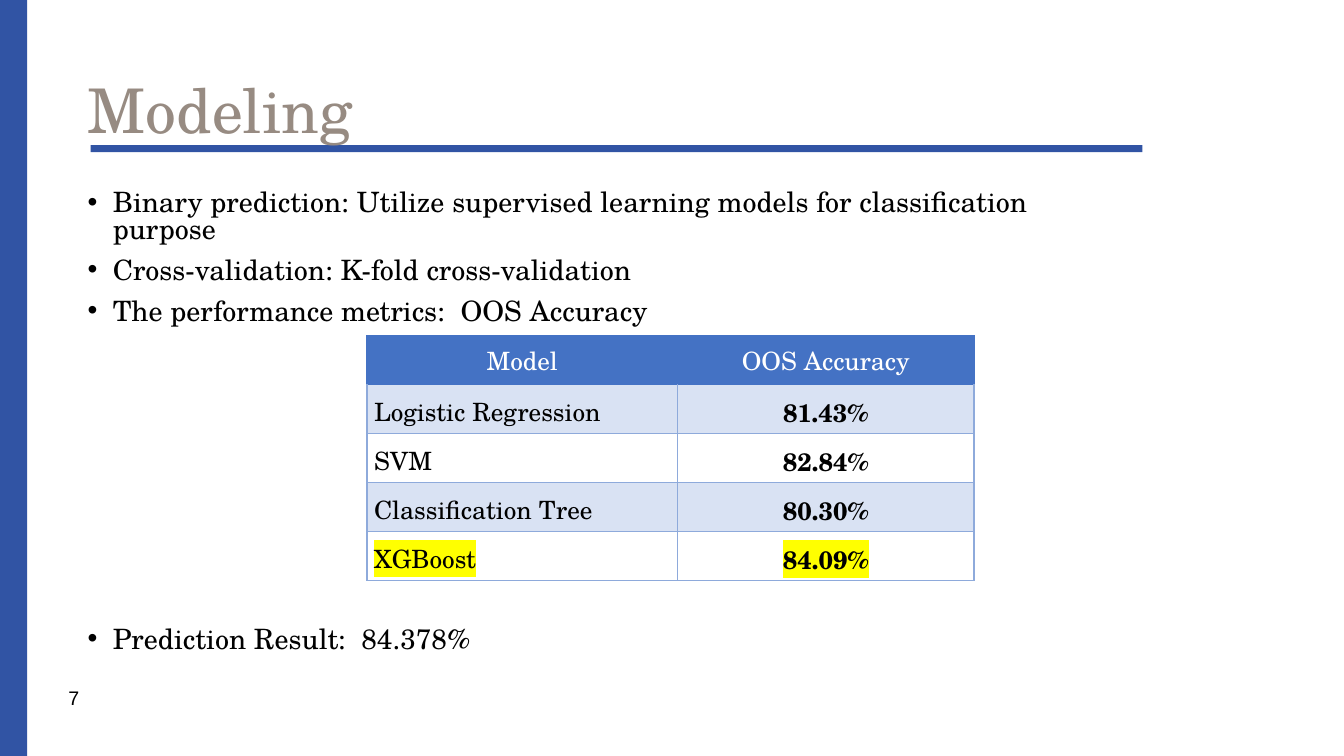
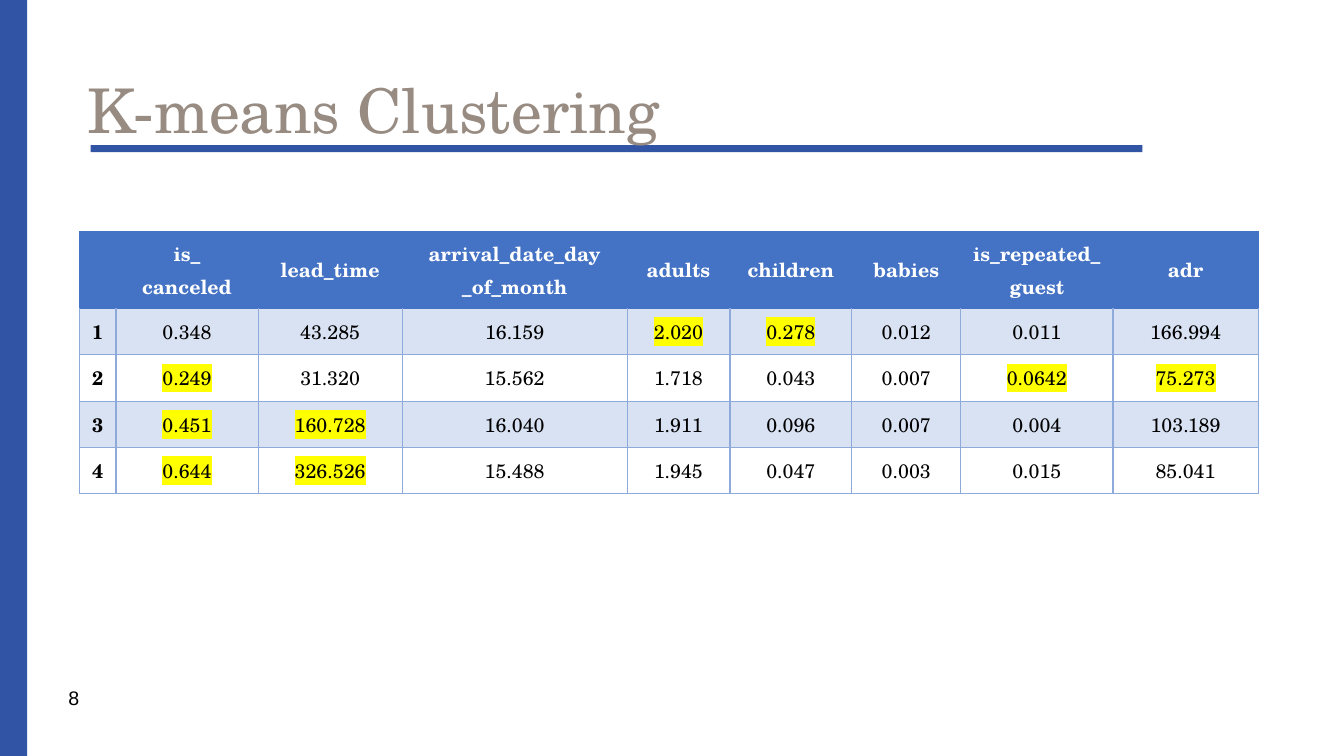
from lxml import etree
from pptx import Presentation
from pptx import util as u
from pptx.dml.color import RGBColor
from pptx.enum import shapes, text
from pptx.oxml import ns

# Shared look
BLUE = RGBColor(0x31, 0x54, 0xA4)
HEADER_BLUE = RGBColor(0x44, 0x72, 0xC4)
BAND_BLUE = RGBColor(0xD9, 0xE2, 0xF3)
GRID_BLUE = RGBColor(0x8E, 0xAA, 0xDB)
TAUPE = RGBColor(0x97, 0x8B, 0x82)
YELLOW = RGBColor(0xFF, 0xFF, 0x00)
WHITE = RGBColor(0xFF, 0xFF, 0xFF)
BLACK = RGBColor(0, 0, 0)
SERIF, SANS = "TeX Gyre Schola", "Arial"
LEFT, CENTER = text.PP_ALIGN.LEFT, text.PP_ALIGN.CENTER

WIDTH, HEIGHT = 13.33, 7.5
TITLE_BOX = (0.77, 0.4, 11.5, 1.45)
RULE_BOX = (0.9, 1.44, 10.43, 0.07)
BAND_BOX = (0, 0, 0.27, HEIGHT)
NUMBER_BOX = (0.58, 6.76, 0.48, 0.4)


def inches(box):
    return [u.Inches(length) for length in box]


def add_child(parent, tag, **attributes):
    child = etree.SubElement(parent, ns.qn(tag))
    for name, value in attributes.items():
        child.set(name, str(value))
    return child


def write(frame, lines, size=18, color=BLACK, font=SERIF, bold=False, align=LEFT,
          spacing=None, before=0, bullet=False, highlight=None):
    """Fill a text frame with one paragraph per line."""
    frame.word_wrap = True
    for index, line in enumerate(lines):
        paragraph = frame.add_paragraph() if index else frame.paragraphs[0]
        paragraph.alignment = align
        paragraph.space_before = u.Pt(before if index else 0)
        if spacing:
            paragraph.line_spacing = spacing
        if bullet:
            properties = paragraph._p.get_or_add_pPr()
            properties.set("marL", str(u.Inches(0.25)))
            properties.set("indent", str(-u.Inches(0.25)))
            add_child(properties, "a:buFont", typeface=SANS)
            add_child(properties, "a:buChar", char="•")
        run = paragraph.add_run()
        run.text = line
        run.font.name, run.font.size, run.font.bold = font, u.Pt(size), bold
        run.font.color.rgb = color
        if highlight:
            properties = run.font._element
            mark = add_child(properties, "a:highlight")
            add_child(mark, "a:srgbClr", val=highlight)
            properties.find(ns.qn("a:solidFill")).addnext(mark)


def add_bar(slide, box):
    bar = slide.shapes.add_shape(shapes.MSO_SHAPE.RECTANGLE, *inches(box))
    bar.shadow.inherit = False
    bar.fill.solid()
    bar.fill.fore_color.rgb = BLUE
    bar.line.fill.background()


def add_text(slide, box, lines, **style):
    write(slide.shapes.add_textbox(*inches(box)).text_frame, lines, **style)


def add_slide(presentation, title, number):
    """Title-only slide with side band, title rule and page number."""
    slide = presentation.slides.add_slide(presentation.slide_layouts[5])
    add_bar(slide, RULE_BOX)
    add_bar(slide, BAND_BOX)
    add_text(slide, NUMBER_BOX, [str(number)], size=14, font=SANS)
    heading = slide.shapes.title
    heading.left, heading.top, heading.width, heading.height = inches(TITLE_BOX)
    heading.text_frame.auto_size = text.MSO_AUTO_SIZE.NONE
    heading.text_frame.vertical_anchor = text.MSO_ANCHOR.MIDDLE
    write(heading.text_frame, [title], size=44, color=TAUPE, spacing=0.9)
    heading.element.getparent().append(heading.element)  # in front of the rule
    return slide


def format_cell(cell, fill, edges):
    """Fill, margins and borders; edges are colours for left, right, top, bottom."""
    cell.margin_left = cell.margin_right = u.Inches(0.07)
    cell.margin_top = cell.margin_bottom = 0
    cell.vertical_anchor = text.MSO_ANCHOR.MIDDLE
    cell.fill.solid()
    cell.fill.fore_color.rgb = fill
    properties = cell._tc.get_or_add_tcPr()
    for index, (side, color) in enumerate(zip("LRTB", edges)):
        border = add_child(properties, f"a:ln{side}", w=u.Pt(1))
        add_child(add_child(border, "a:solidFill"), "a:srgbClr", val=color)
        properties.insert(index, border)


def add_banded_table(slide, corner, columns, heights, rows, marked, style):
    """Header row plus banded rows; style(row, column) gives the text format."""
    box = (*corner, sum(columns), sum(heights))
    table = slide.shapes.add_table(len(rows), len(columns), *inches(box)).table
    for column, width in zip(table.columns, columns):
        column.width = u.Inches(width)
    for row, height in zip(table.rows, heights):
        row.height = u.Inches(height)
    for i, values in enumerate(rows):
        fill = HEADER_BLUE if i == 0 else BAND_BLUE if i % 2 else WHITE
        side = HEADER_BLUE if i == 0 else GRID_BLUE
        top = HEADER_BLUE if i < 2 else GRID_BLUE
        for j, value in enumerate(values):
            cell = table.cell(i, j)
            format_cell(cell, fill, (side, side, top, side))
            if value:
                write(cell.text_frame, value.split("\n"),
                      color=WHITE if i == 0 else BLACK,
                      highlight=YELLOW if (i, j) in marked else None, **style(i, j))


def modeling_slide(presentation):
    slide = add_slide(presentation, "Modeling", 7)
    left, top, width = 0.77, 1.85, 10.55
    bullets = dict(size=20, bullet=True, before=10, spacing=u.Pt(19.2))
    add_text(slide, (left, top, width, 1.45), [
        "Binary prediction: Utilize supervised learning models for classification purpose",
        "Cross-validation: K-fold cross-validation",
        "The performance metrics:  OOS Accuracy",
    ], **bullets)
    add_text(slide, (left, 6.18, width, 0.4), ["Prediction Result:  84.378%"], **bullets)

    # Accuracy of each model
    rows = [
        ("Model", "OOS Accuracy"),
        ("Logistic Regression", "81.43%"),
        ("SVM", "82.84%"),
        ("Classification Tree", "80.30%"),
        ("XGBoost", "84.09%"),
    ]

    def style(row, column):
        return dict(size=18, bold=row > 0 and column == 1,
                    align=CENTER if row == 0 or column else LEFT,
                    spacing=1.15 if row else None)

    add_banded_table(slide, (3.64, 3.33), (3.08, 2.94), [0.486] * len(rows),
                     rows, {(4, 0), (4, 1)}, style)


def clustering_slide(presentation):
    slide = add_slide(presentation, "K-means Clustering", 8)

    # Cluster centres
    rows = [
        ("", "is_\ncanceled", "lead_time", "arrival_date_day\n_of_month", "adults",
         "children", "babies", "is_repeated_\nguest", "adr"),
        ("1", "0.348", "43.285", "16.159", "2.020", "0.278", "0.012", "0.011", "166.994"),
        ("2", "0.249", "31.320", "15.562", "1.718", "0.043", "0.007", "0.0642", "75.273"),
        ("3", "0.451", "160.728", "16.040", "1.911", "0.096", "0.007", "0.004", "103.189"),
        ("4", "0.644", "326.526", "15.488", "1.945", "0.047", "0.003", "0.015", "85.041"),
    ]
    marked = {(1, 4), (1, 5), (2, 1), (2, 7), (2, 8), (3, 1), (3, 2), (4, 1), (4, 2)}

    def style(row, column):
        return dict(size=14, bold=row == 0 or column == 0, align=CENTER, before=2)

    add_banded_table(slide, (0.79, 2.3),
                     (0.36, 1.41, 1.43, 2.23, 1.02, 1.21, 1.08, 1.51, 1.44),
                     [0.76] + [0.46] * 4, rows, marked, style)


def main():
    presentation = Presentation()
    presentation.slide_width = u.Inches(WIDTH)
    presentation.slide_height = u.Inches(HEIGHT)
    modeling_slide(presentation)
    clustering_slide(presentation)
    presentation.save("out.pptx")


if __name__ == "__main__":
    main()
